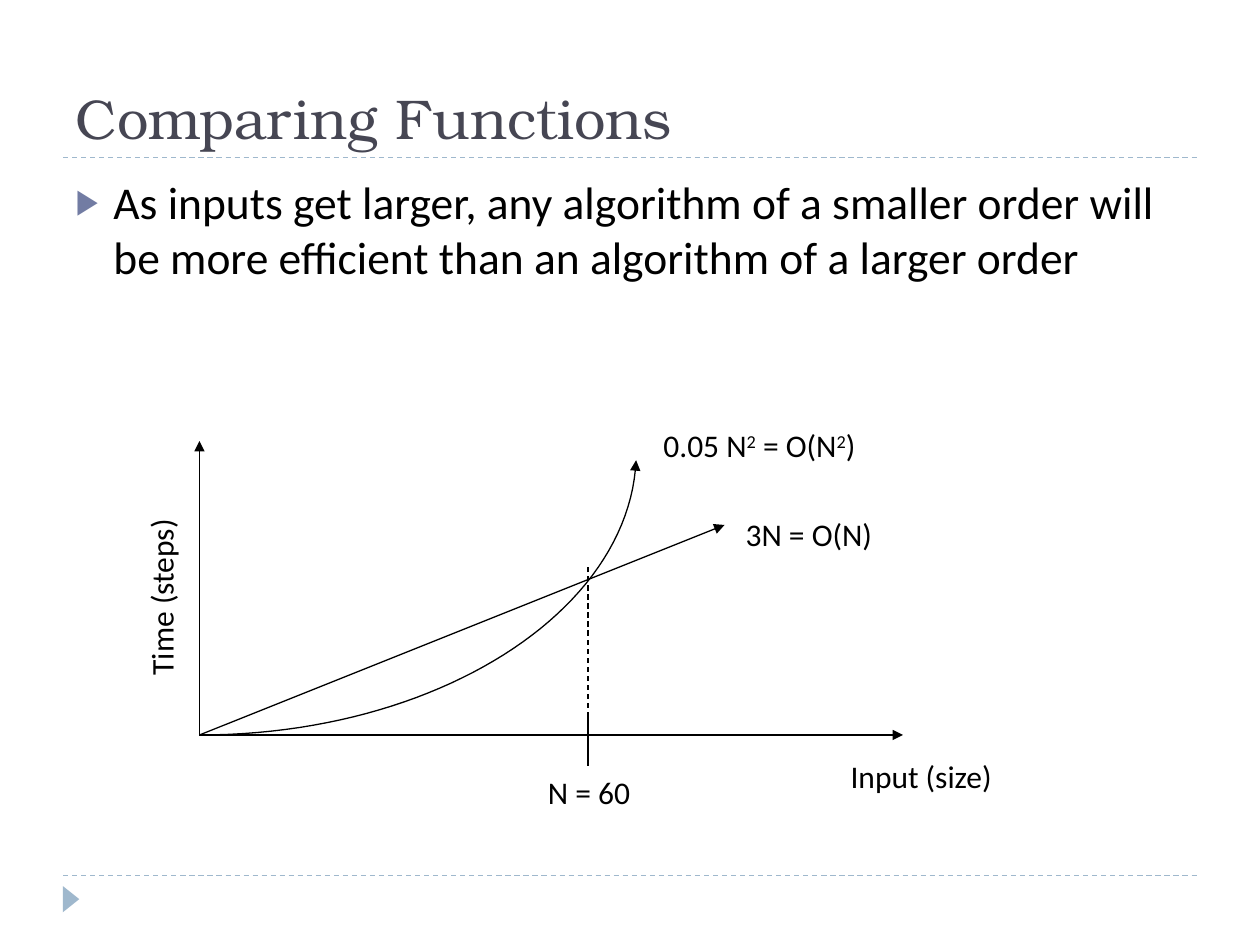
from lxml import etree
from pptx import Presentation
from pptx.dml.color import RGBColor
from pptx.enum import dml, shapes, text
from pptx.oxml import ns
from pptx.util import Pt

BODY_FONT, TITLE_FONT = "Calibri", "TeX Gyre Bonum"
INK, ACCENT, BULLET, TITLE_INK = "000000", "9FB8CD", "727CA3", "464653"


def rgb(value):
    return RGBColor.from_string(value)


def add_child(parent, tag, **attributes):
    return etree.SubElement(parent, ns.qn(tag), attributes)


def set_font(font, size, name=BODY_FONT, color=INK):
    font.size, font.name = Pt(size), name
    font.color.rgb = rgb(color)


def style_line(line_shape, color=INK, dashed=False, arrow=False):
    line_shape.line.color.rgb = rgb(color)
    line_shape.line.width = Pt(0.75)
    if dashed:
        line_shape.line.dash_style = dml.MSO_LINE.DASH
    properties = line_shape.element.spPr
    if arrow:
        add_child(properties.find(ns.qn("a:ln")), "a:tailEnd", type="triangle")
    if properties.find(ns.qn("a:effectLst")) is None:
        add_child(properties, "a:effectLst")


def add_line(slide, start, end, **style):
    line = slide.shapes.add_connector(
        shapes.MSO_CONNECTOR.STRAIGHT, *map(Pt, (*start, *end)))
    style_line(line, **style)


def add_label(slide, left, top, width, pieces, rotation=0):
    """Pieces alternate between normal text and superscript."""
    label = slide.shapes.add_textbox(Pt(left), Pt(top), Pt(width), Pt(29))
    label.rotation = rotation
    frame = label.text_frame
    frame.word_wrap = False
    frame.auto_size = text.MSO_AUTO_SIZE.SHAPE_TO_FIT_TEXT
    paragraph = frame.paragraphs[0]
    set_font(paragraph.font, 18)
    for index, piece in enumerate(pieces):
        run = paragraph.add_run()
        run.text = piece
        if index % 2:
            run.font._element.set("baseline", "30000")


def place(placeholder, left, top, width, height, words):
    placeholder.left, placeholder.top = Pt(left), Pt(top)
    placeholder.width, placeholder.height = Pt(width), Pt(height)
    frame = placeholder.text_frame
    frame.auto_size = text.MSO_AUTO_SIZE.NONE
    frame.text = words
    paragraph = frame.paragraphs[0]
    paragraph.alignment = text.PP_ALIGN.LEFT
    return frame, paragraph


def add_decoration(slide, left, top, width, height):
    """Dashed rules above and below the content, and a footer marker."""
    for y in (top, top + height):
        add_line(slide, (left, y), (left + width, y), color=ACCENT, dashed=True)
    marker = slide.shapes.add_shape(
        shapes.MSO_SHAPE.ISOSCELES_TRIANGLE,
        Pt(left - 2.9), Pt(top + height + 8.7), Pt(15), Pt(9.4))
    marker.rotation = 90
    marker.shadow.inherit = False
    marker.fill.solid()
    marker.fill.fore_color.rgb = rgb(ACCENT)
    marker.line.fill.background()


def fill_title(slide, *box):
    frame, paragraph = place(slide.shapes.title, *box, "Comparing Functions")
    frame.vertical_anchor = text.MSO_ANCHOR.BOTTOM
    set_font(paragraph.font, 32, TITLE_FONT, TITLE_INK)


def fill_body(slide, *box):
    _, paragraph = place(
        slide.placeholders[1], *box,
        "As inputs get larger, any algorithm of a smaller order will be more "
        "efficient than an algorithm of a larger order")
    properties = paragraph._p.get_or_add_pPr()
    indent = Pt(21.6)
    properties.set("marL", str(indent))
    properties.set("indent", str(-indent))
    add_child(add_child(properties, "a:buClr"), "a:srgbClr", val=BULLET)
    add_child(properties, "a:buSzPct", val="76000")
    add_child(properties, "a:buChar", char="▶")
    paragraph.space_before = Pt(6)
    set_font(paragraph.font, 26)


def add_curve(slide, start, control_1, control_2, end, steps=48):
    """Draw a cubic Bézier curve as a fine polyline."""
    def point(t):
        weights = ((1 - t) ** 3, 3 * t * (1 - t) ** 2, 3 * t * t * (1 - t), t ** 3)
        ends = (start, control_1, control_2, end)
        return tuple(Pt(sum(w * p[axis] for w, p in zip(weights, ends)))
                     for axis in (0, 1))

    builder = slide.shapes.build_freeform(*point(0))
    builder.add_line_segments(
        [point(i / steps) for i in range(1, steps + 1)], close=False)
    curve = builder.convert_to_shape()
    curve.shadow.inherit = False
    curve.fill.background()
    style_line(curve, arrow=True)


def add_growth_plot(slide, left, top, width, height):
    """The box is spanned by the two axes."""
    bottom = top + height
    origin = (left, bottom)
    crossing = left + 222
    for end in ((left, top), (left + width, bottom), (left + 300, bottom - 120)):
        add_line(slide, origin, end, arrow=True)
    add_curve(slide, origin, (left + 135, bottom),
              (left + 245.5, bottom - 70), (left + 249.5, bottom - 157))
    add_line(slide, (crossing, bottom - 12), (crossing, bottom + 18))
    add_line(slide, (crossing, bottom), (crossing, bottom - 96), dashed=True)

    add_label(slide, left - 74.4, top + 74, 105, ["Time (steps)"], rotation=270)
    add_label(slide, left + 365, bottom + 9, 97, ["Input (size)"])
    add_label(slide, left + 305, top + 39, 94, ["3N = O(N)"])
    add_label(slide, left + 258, top - 12, 132, ["0.05 N", "2", " = O(N", "2", ")"])
    add_label(slide, left + 192, bottom + 18, 65, ["N = 60"])


def main():
    deck = Presentation()
    deck.slide_width, deck.slide_height = Pt(720), Pt(540)
    slide = deck.slides.add_slide(deck.slide_layouts[1])
    add_decoration(slide, 36, 90, 648, 410.4)
    fill_title(slide, 36, 12, 648, 78)
    fill_body(slide, 36, 96, 648, 389)
    add_growth_plot(slide, 114, 252, 402, 168)
    deck.save("out.pptx")


if __name__ == "__main__":
    main()
